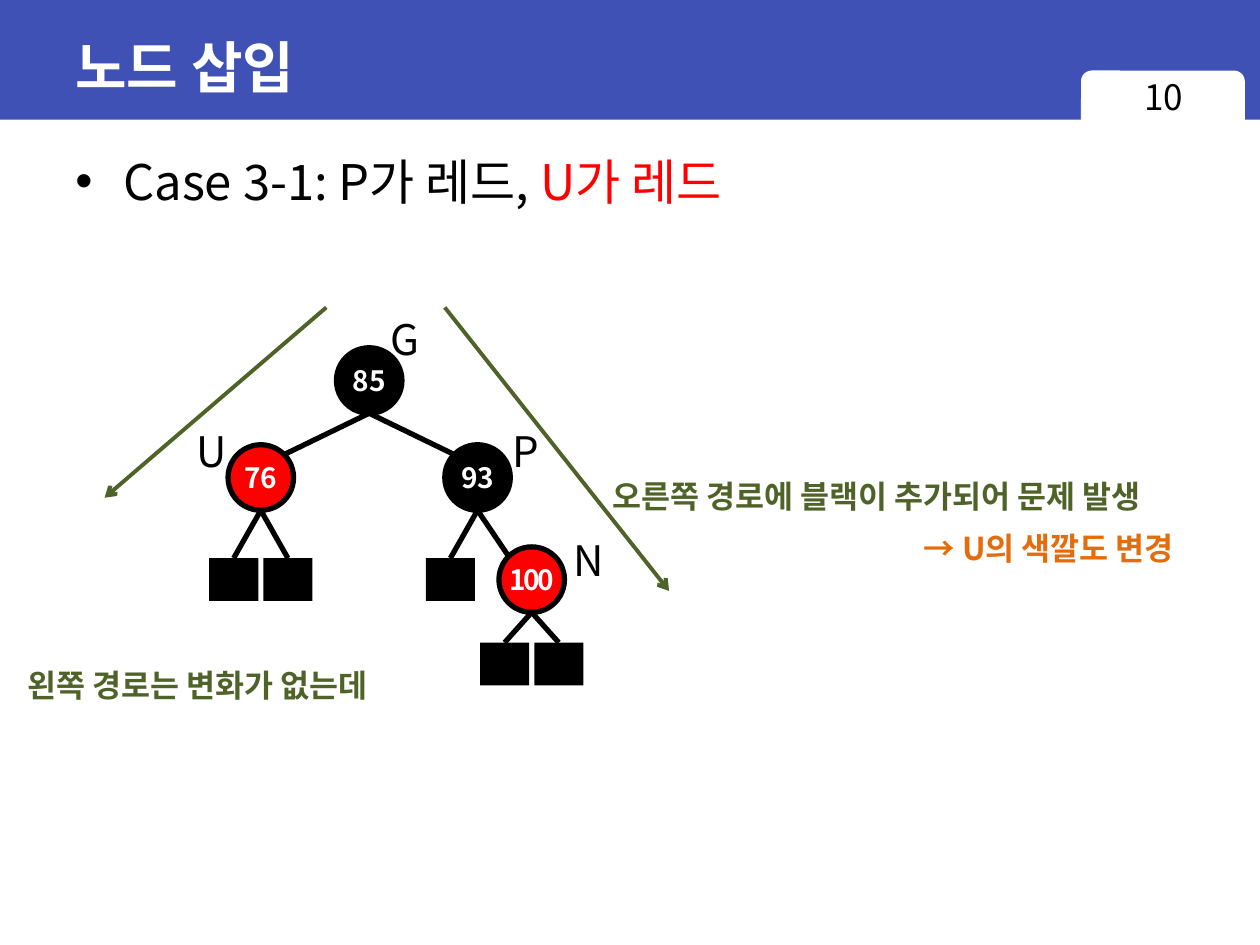
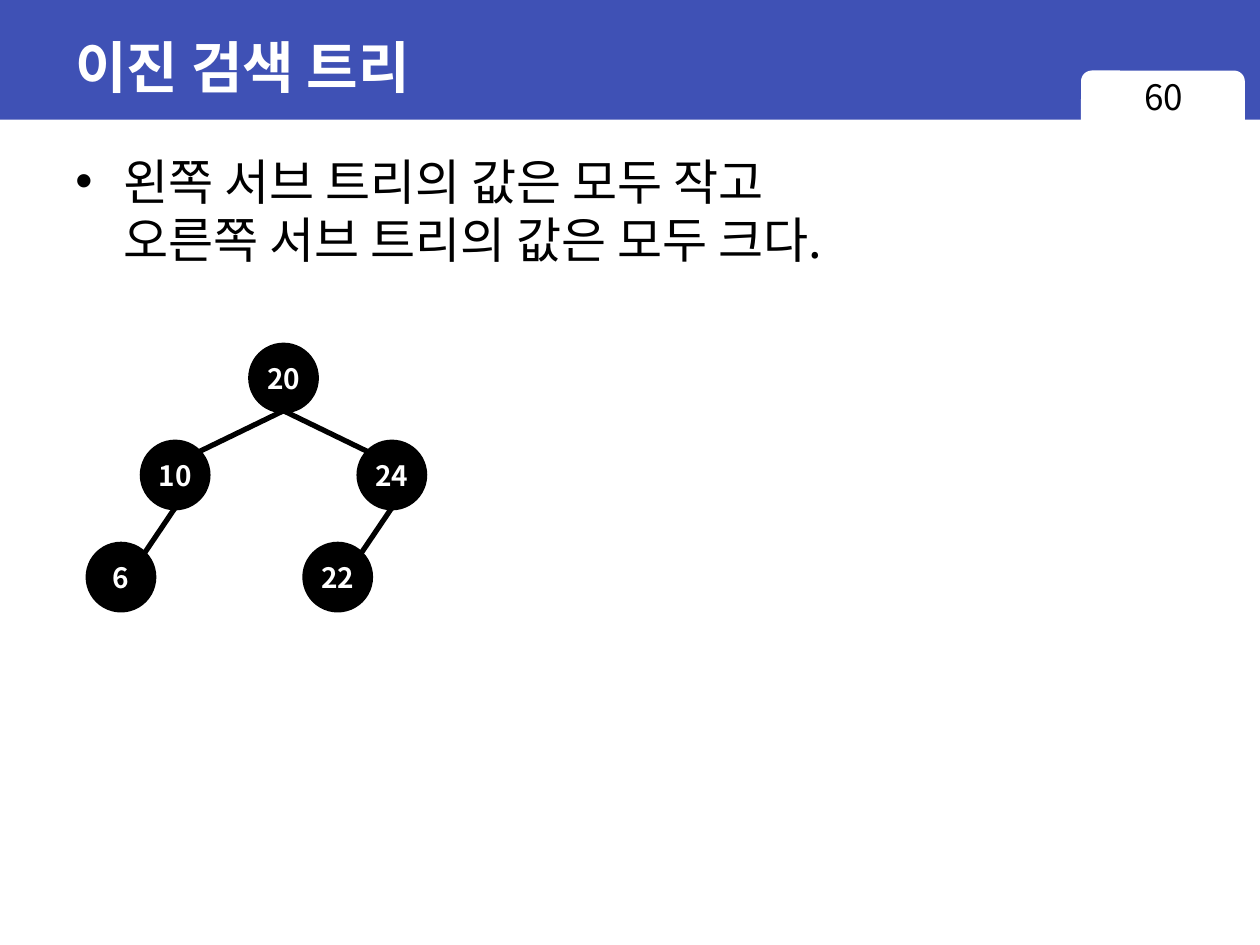
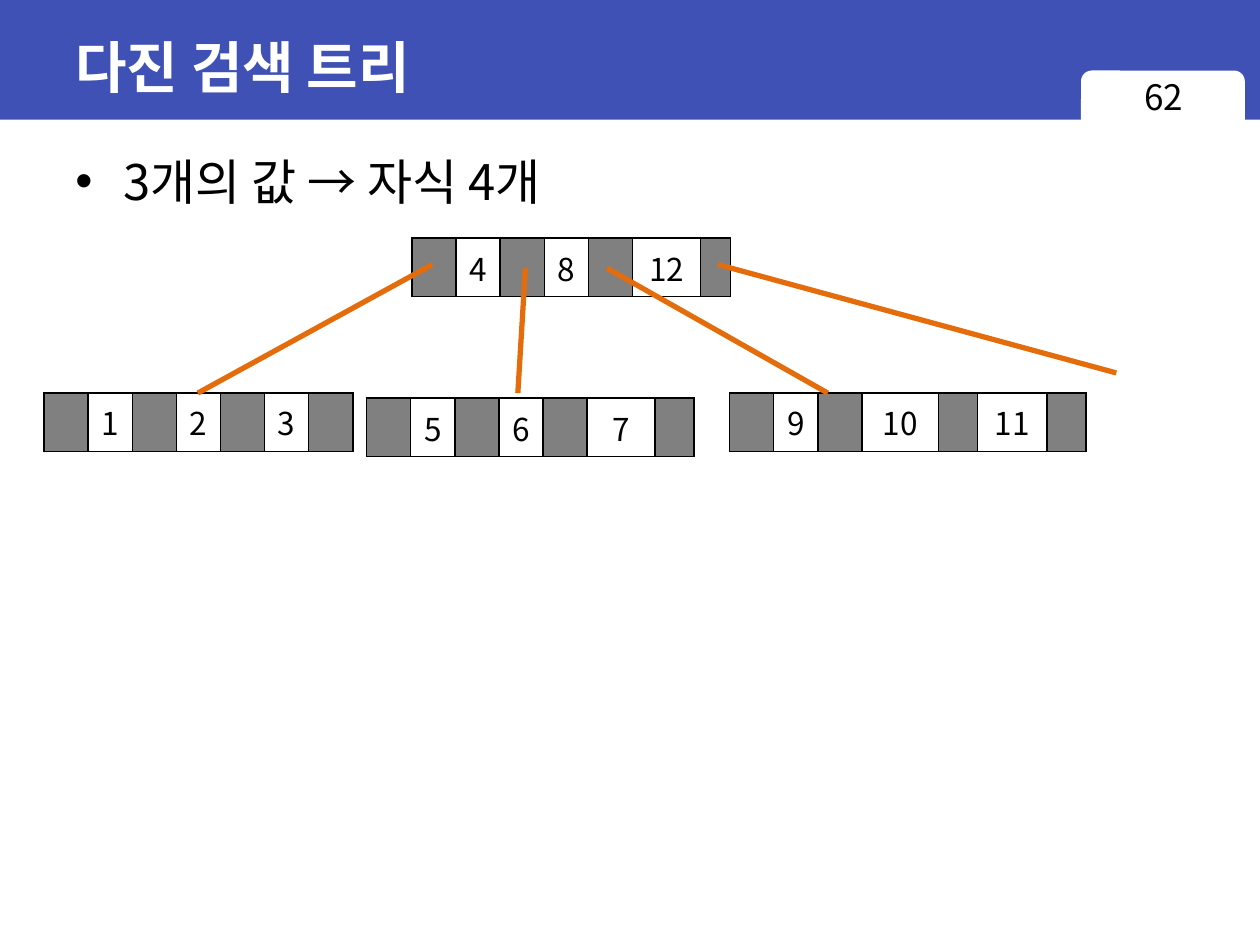
"""Build three slides on red-black, binary and multiway search trees."""
from dataclasses import dataclass

from lxml.etree import SubElement
from pptx import Presentation
from pptx.dml.color import RGBColor
from pptx.enum.shapes import MSO_CONNECTOR, MSO_SHAPE
from pptx.enum.text import MSO_ANCHOR, MSO_AUTO_SIZE, PP_ALIGN
from pptx.oxml.ns import qn
from pptx.util import Inches, Pt


@dataclass(frozen=True)
class Theme:
    band: str = "3F51B5"
    white: str = "FFFFFF"
    black: str = "000000"
    red: str = "FF0000"
    green: str = "4F6228"
    orange: str = "E46C0A"
    gray: str = "808080"
    title_font: str = "Arial"
    font: str = "Noto Sans CJK KR"
    title_size: float = 32
    body_size: float = 28
    tag_size: float = 24
    page_size: float = 20
    note_size: float = 18
    node_size: float = 16
    edge_width: float = 3
    path_width: float = 2.25
    border_width: float = 1


THEME = Theme()
NODE = 0.52
CORNER = 0.18
CHILD_OFFSETS = [(0.86, 0.77), (0.43, 0.81)]
LEAF_WIDTH, LEAF_HEIGHT, LEAF_PITCH = 0.39, 0.34, 0.43
LEAF_DROPS = {1: 0.64, 2: 0.5}
POINTER, ROW_HEIGHT = 0.35, 0.41

LEAF = "leaf"
INSERTION_TREE = (
    "85", THEME.black,
    ("76", THEME.red, LEAF, LEAF),
    ("93", THEME.black, LEAF, ("100", THEME.red, LEAF, LEAF)),
)
BINARY_TREE = (
    "20", THEME.black,
    ("10", THEME.black, ("6", THEME.black, None, None), None),
    ("24", THEME.black, ("22", THEME.black, None, None), None),
)
NODE_TAGS = [
    ("N", 4.45, 4.19, 0.46), ("P", 3.97, 3.33, 0.39),
    ("U", 1.46, 3.33, 0.44), ("G", 3, 2.44, 0.44),
]
NOTES = [
    ("오른쪽 경로에 블랙이 추가되어 문제 발생", 4.76, 3.74, 4.94, THEME.green),
    ("왼쪽 경로는 변화가 없는데", 0.12, 5.24, 3.25, THEME.green),
    ("→ U의 색깔도 변경", 7.23, 4.15, 2.42, THEME.orange),
]
PATHS = [((2.59, 2.44), (0.83, 3.95)), ((3.53, 2.44), (5.31, 4.69))]
KEY_ROWS = [
    (3.27, 1.89, ["4", "8", "12"], [POINTER] * 5 + [0.54, 0.24]),
    (0.35, 3.12, ["1", "2", "3"], [POINTER] * 7),
    (2.91, 3.16, ["5", "6", "7"], [POINTER] * 5 + [0.54, 0.31]),
    (5.79, 3.12, ["9", "10", "11"], [POINTER] * 3 + [0.61, 0.31, 0.55, 0.31]),
]
CHILD_LINKS = [
    ((3.43, 2.1), (1.57, 3.12)), ((4.17, 2.13), (4.11, 3.12)),
    ((4.82, 2.13), (6.57, 3.12)), ((5.7, 2.1), (8.86, 2.96)),
]


def rgb(color):
    return RGBColor.from_string(color)


def add_run(paragraph, text, size, color, bold=False, font=THEME.font):
    run = paragraph.add_run()
    run.text = text
    run.font.size, run.font.bold, run.font.name = Pt(size), bold, font
    run.font.color.rgb = rgb(color)
    properties = run.font._element
    SubElement(properties, qn("a:ea")).set("typeface", THEME.font)
    return properties


def add_text(slide, left, top, width, height, wrap=True):
    box = slide.shapes.add_textbox(*map(Inches, (left, top, width, height)))
    frame = box.text_frame
    frame.word_wrap = wrap
    frame.auto_size = MSO_AUTO_SIZE.NONE if wrap else MSO_AUTO_SIZE.SHAPE_TO_FIT_TEXT
    return frame


def add_block(slide, preset, left, top, width, height, fill, line=None):
    block = slide.shapes.add_shape(preset, *map(Inches, (left, top, width, height)))
    block.shadow.inherit = False
    block.fill.solid()
    block.fill.fore_color.rgb = rgb(fill)
    if line:
        block.line.color.rgb = rgb(line)
        block.line.width = Pt(THEME.edge_width)
    else:
        block.line.fill.background()
    return block


def add_line(slide, start, end, color=THEME.black, width=THEME.edge_width, arrow=False):
    line = slide.shapes.add_connector(MSO_CONNECTOR.STRAIGHT, *map(Inches, start + end))
    line.line.color.rgb = rgb(color)
    line.line.width = Pt(width)
    if arrow:
        SubElement(line.line._get_or_add_ln(), qn("a:tailEnd")).set("type", "arrow")
    SubElement(line._element.spPr, qn("a:effectLst"))


def start_slide(deck, title, page, bullet_lines):
    slide = deck.slides.add_slide(deck.slide_layouts[6])
    add_block(slide, MSO_SHAPE.RECTANGLE, 0, 0, 10, 0.95, THEME.band)
    add_block(slide, MSO_SHAPE.ROUNDED_RECTANGLE, 8.58, 0.56, 1.3, 0.51, THEME.white)

    heading = add_text(slide, 0.5, 0.11, 9, 0.83)
    heading.vertical_anchor = MSO_ANCHOR.MIDDLE
    add_run(heading.paragraphs[0], title, THEME.title_size, THEME.white, True, THEME.title_font)

    bullet = add_text(slide, 0.5, 1.15, 9.38, 6.14).paragraphs[0]
    bullet.space_before = Pt(THEME.body_size * 0.2)
    indents = bullet._p.get_or_add_pPr()
    indents.set("marL", str(Inches(0.38)))
    indents.set("indent", str(-Inches(0.38)))
    SubElement(indents, qn("a:buFont")).set("typeface", "Arial")
    SubElement(indents, qn("a:buChar")).set("char", "•")
    for index, line in enumerate(bullet_lines):
        if index:
            bullet.add_line_break()
        for text, color in line:
            add_run(bullet, text, THEME.body_size, color)

    number = add_text(slide, 8.58, 0.55, 1.31, 0.52).paragraphs[0]
    number.alignment = PP_ALIGN.CENTER
    add_run(number, page, THEME.page_size, THEME.black)
    return slide


def add_node(slide, value, color, x, y):
    node = add_block(slide, MSO_SHAPE.OVAL, x - NODE / 2, y - NODE / 2, NODE, NODE, color, THEME.black)
    frame = node.text_frame
    frame.margin_left = frame.margin_right = 0
    frame.vertical_anchor = MSO_ANCHOR.MIDDLE
    frame.paragraphs[0].alignment = PP_ALIGN.CENTER
    properties = add_run(frame.paragraphs[0], value, THEME.node_size, THEME.white, True)
    if len(value) > 2:
        properties.set("spc", "-150")


def add_tree(slide, tree, x, y, depth=0):
    value, color, *children = tree
    add_node(slide, value, color, x, y)
    bottom = (x, y + NODE / 2)
    for side, child in zip((-1, 1), children):
        if child == LEAF:
            leaf_x, leaf_top = x + side * LEAF_PITCH / 2, y + LEAF_DROPS[depth]
            add_block(slide, MSO_SHAPE.RECTANGLE, leaf_x - LEAF_WIDTH / 2, leaf_top,
                      LEAF_WIDTH, LEAF_HEIGHT, THEME.black)
            add_line(slide, bottom, (leaf_x, leaf_top))
        elif child:
            across, down = CHILD_OFFSETS[depth]
            child_x, child_y = x + side * across, y + down
            add_tree(slide, child, child_x, child_y, depth + 1)
            add_line(slide, bottom, (child_x - side * CORNER, child_y - CORNER))


def add_borders(cell):
    properties = cell._tc.get_or_add_tcPr()
    for index, edge in enumerate(("a:lnL", "a:lnR", "a:lnT", "a:lnB")):
        border = properties.makeelement(qn(edge), {"w": str(Pt(THEME.border_width))})
        fill = SubElement(border, qn("a:solidFill"))
        SubElement(fill, qn("a:srgbClr")).set("val", THEME.black)
        properties.insert(index, border)


def add_key_row(slide, left, top, keys, widths):
    size = map(Inches, (left, top, sum(widths), ROW_HEIGHT))
    table = slide.shapes.add_table(1, len(widths), *size).table
    table.first_row = table.horz_banding = False
    for index, width in enumerate(widths):
        table.columns[index].width = Inches(width)
        cell = table.cell(0, index)
        is_key = index % 2 == 1
        cell.fill.solid()
        cell.fill.fore_color.rgb = rgb(THEME.white if is_key else THEME.gray)
        add_borders(cell)
        if is_key:
            paragraph = cell.text_frame.paragraphs[0]
            paragraph.alignment = PP_ALIGN.CENTER
            add_run(paragraph, keys[index // 2], THEME.note_size, THEME.black)


def build_insertion(deck):
    slide = start_slide(deck, "노드 삽입", "10", [
        [("Case 3-1: P가 레드, ", THEME.black), ("U가 레드", THEME.red)],
    ])
    add_tree(slide, INSERTION_TREE, 2.93, 3.02)
    for tag, left, top, width in NODE_TAGS:
        frame = add_text(slide, left, top, width, 0.5, wrap=False)
        add_run(frame.paragraphs[0], tag, THEME.tag_size, THEME.black)
    for start, end in PATHS:
        add_line(slide, start, end, THEME.green, THEME.path_width, arrow=True)
    for note, left, top, width, color in NOTES:
        frame = add_text(slide, left, top, width, 0.4, wrap=False)
        add_run(frame.paragraphs[0], note, THEME.note_size, color, True)


def build_binary(deck):
    slide = start_slide(deck, "이진 검색 트리", "60", [
        [("왼쪽 서브 트리의 값은 모두 작고", THEME.black)],
        [("오른쪽 서브 트리의 값은 모두 크다.", THEME.black)],
    ])
    add_tree(slide, BINARY_TREE, 2.25, 3)


def build_multiway(deck):
    slide = start_slide(deck, "다진 검색 트리", "62", [
        [("3개의 값 → 자식 4개", THEME.black)],
    ])
    for key_row in KEY_ROWS:
        add_key_row(slide, *key_row)
    for start, end in CHILD_LINKS:
        add_line(slide, start, end, THEME.orange)


def main():
    deck = Presentation()
    deck.slide_width, deck.slide_height = Inches(10), Inches(7.5)
    build_insertion(deck)
    build_binary(deck)
    build_multiway(deck)
    deck.save("out.pptx")


if __name__ == "__main__":
    main()
